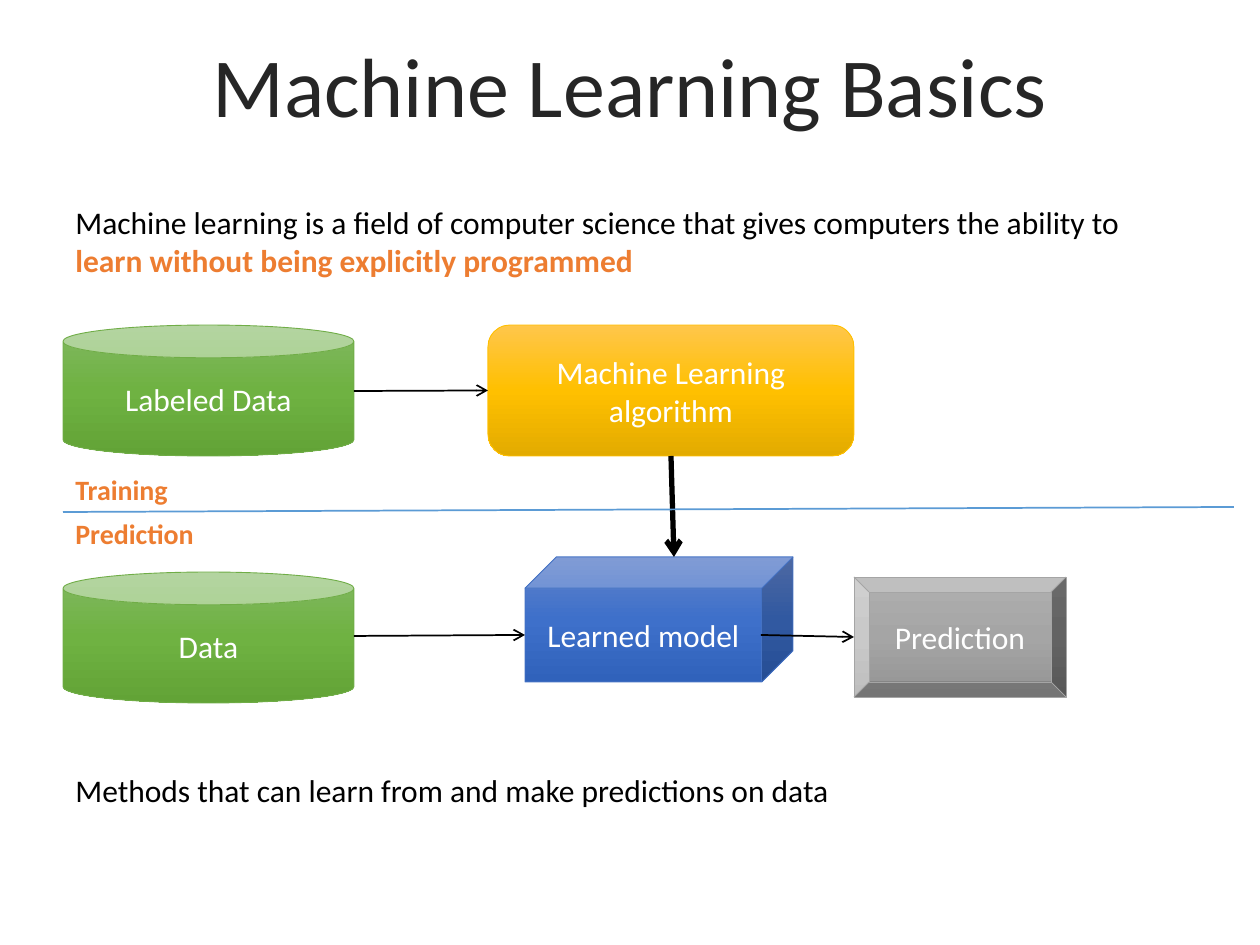
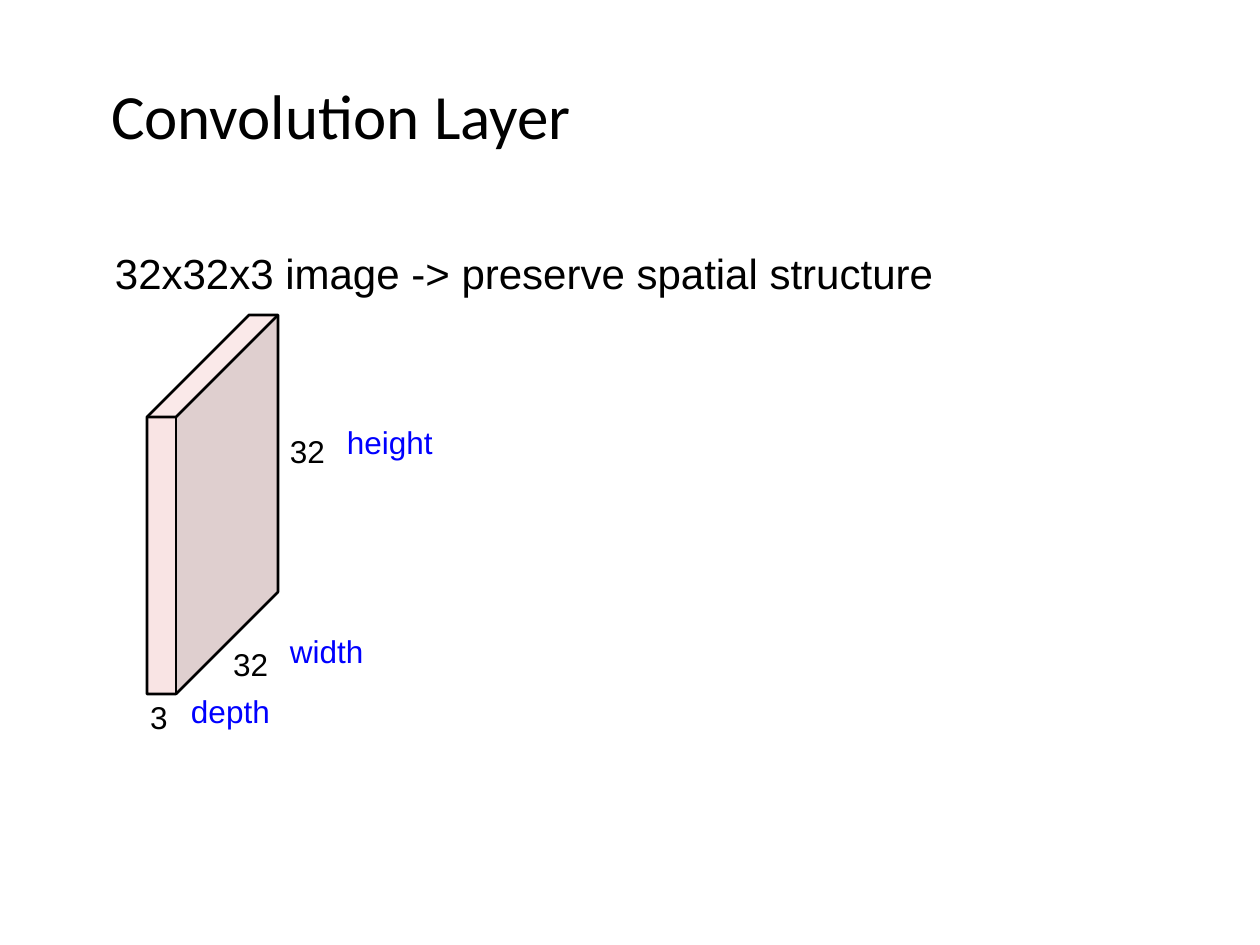
"""Build two slides: machine learning basics and the convolution layer."""
from copy import deepcopy

from lxml.etree import SubElement
from pptx import Presentation
from pptx.dml.color import RGBColor
from pptx.enum.shapes import MSO_CONNECTOR, MSO_SHAPE as SHAPE
from pptx.enum.text import MSO_ANCHOR as ANCHOR, PP_ALIGN as ALIGN
from pptx.oxml.ns import qn
from pptx.util import Pt

SCALE = 914400 / 126
SLIDE_W, SLIDE_H = 1260, 945
LEFT = 63

COLORS = {
    "black": "000000", "white": "FFFFFF", "title": "262626",
    "accent": "ED7D31", "divider": "5B9BD5", "label": "0000FF",
    "front": "F4CCCC", "side": "C3A3A3", "top": "F6D6D6",
}
GRADIENTS = {
    "green": ("81B861", "6FB242", "62A336", "70AD47"),
    "gold": ("FFC64B", "FFC000", "E3AB00", "FFC000"),
    "blue": ("6183CB", "3E70CA", "3062BB", "4472C4"),
    "gray": ("AFAFAF", "A5A5A5", "939393", "A5A5A5"),
}
FORMATS = {
    "heading": {"name": "Calibri", "size": Pt(48)},
    "title": {"name": "Calibri", "size": Pt(36)},
    "body": {"name": "Calibri", "size": Pt(18)},
    "strong": {"name": "Calibri", "size": Pt(18), "bold": True},
    "phase": {"name": "Calibri", "size": Pt(16), "bold": True},
    "subtitle": {"name": "Arial", "size": Pt(24)},
    "dimension": {"name": "Arial", "size": Pt(18)},
}

STATEMENTS = [
    ((LEFT, 197, 1089, 89), [
        ("Machine learning is a field of computer science that gives "
         "computers the ability to ", "body", "black"),
        ("learn without being explicitly programmed", "strong", "accent")]),
    ((LEFT, 765, 1171, 50), [
        ("Methods that can learn from and make predictions on data",
         "body", "black")]),
]
PHASES = [
    ((LEFT, 466, 131, 47), "Training"),
    ((LEFT, 510, 163, 47), "Prediction"),
]
STEPS = {
    "labeled": (SHAPE.CAN, (LEFT, 325, 291, 131), "green", "Labeled Data"),
    "data": (SHAPE.CAN, (LEFT, 572, 291, 131), "green", "Data"),
    "algorithm": (SHAPE.ROUNDED_RECTANGLE, (488, 325, 366, 131), "gold",
                  "Machine Learning algorithm"),
    "model": (SHAPE.CUBE, (525, 557, 268, 125), "blue", "Learned model"),
    "prediction": (SHAPE.BEVEL, (854, 577, 212, 120), "gray", "Prediction"),
}
DIVIDER = (LEFT, 512, 1234, 507)
DATA_FLOW = [(354, 636, 525, 635), (761, 635, 854, 637)]
LABELED_FLOW = (354, 391, 488, 391)
MODEL_FLOW = (671, 456, 674, 557)

VOLUME = {"x": 147, "y": 417, "depth": 29, "height": 277, "slant": 102}
CONV_TEXTS = [
    ((111, 77, 512, 79), "Convolution Layer", "title", "black"),
    ((115, 247, 822, 54), "32x32x3 image -> preserve spatial structure",
     "subtitle", "black"),
    ((290, 432, 39, 42), "32", "dimension", "black"),
    ((150, 698, 21, 42), "3", "dimension", "black"),
    ((290, 632, 77, 42), "width", "dimension", "label"),
    ((347, 423, 90, 42), "height", "dimension", "label"),
]
DEPTH_BOX = (191, 645, 82, 84)


def px(n):
    return round(n * SCALE)


def rgb(name):
    return RGBColor.from_string(COLORS[name])


def add_run(p, text, fmt, color):
    r = p.add_run()
    r.text = text
    for key, value in FORMATS[fmt].items():
        setattr(r.font, key, value)
    r.font.color.rgb = rgb(color)


def add_box(slide, box, runs, inset=True, wrap=True):
    tf = slide.shapes.add_textbox(*map(px, box)).text_frame
    tf.word_wrap = wrap
    if not inset:
        for side in ("left", "top", "right", "bottom"):
            setattr(tf, f"margin_{side}", 0)
    for run in runs:
        add_run(tf.paragraphs[0], *run)
    return tf


def add_step(slide, kind, box, palette, text):
    sp = slide.shapes.add_shape(kind, *map(px, box))
    sp.shadow.inherit = False
    *stops, edge = GRADIENTS[palette]
    sp.fill.gradient()
    sp.fill.gradient_angle = 270
    first = sp._element.spPr.find(".//" + qn("a:gs"))
    first.addnext(deepcopy(first))
    for i, (stop, color) in enumerate(zip(sp.fill.gradient_stops, stops)):
        stop.position = i / 2
        stop.color.rgb = RGBColor.from_string(color)
    sp.line.color.rgb = RGBColor.from_string(edge)
    sp.line.width = Pt(0.5)
    tf = sp.text_frame
    tf.word_wrap = True
    tf.vertical_anchor = ANCHOR.MIDDLE
    p = tf.paragraphs[0]
    p.alignment = ALIGN.CENTER
    add_run(p, text, "body", "white")
    return sp


def add_line(slide, ends, width=1, color="black", arrow=False):
    line = slide.shapes.add_connector(MSO_CONNECTOR.STRAIGHT, *map(px, ends))
    line.line.color.rgb = rgb(color)
    line.line.width = Pt(width)
    if arrow:
        SubElement(line.line._get_or_add_ln(), qn("a:tailEnd"), type="arrow")
    SubElement(line._element.spPr, qn("a:effectLst"))
    return line


def add_outline(slide, points, fill=None, close=True):
    builder = slide.shapes.build_freeform(*points[0], scale=SCALE)
    builder.add_line_segments(points[1:], close=close)
    sp = builder.convert_to_shape()
    sp.shadow.inherit = False
    if fill:
        sp.fill.solid()
        sp.fill.fore_color.rgb = rgb(fill)
        color = sp._element.spPr.find(".//" + qn("a:srgbClr"))
        SubElement(color, qn("a:alpha"), val="52000")
        sp.line.fill.background()
    else:
        sp.fill.background()
        sp.line.color.rgb = rgb("black")
        sp.line.width = Pt(1.5)


def build_basics(slide):
    for box, runs in STATEMENTS:
        add_box(slide, box, runs)
    steps = {name: add_step(slide, *step) for name, step in STEPS.items()}
    add_line(slide, LABELED_FLOW, arrow=True).end_connect(
        steps["algorithm"], 1)
    for ends in DATA_FLOW:
        add_line(slide, ends, arrow=True)
    add_line(slide, MODEL_FLOW, width=3, arrow=True).begin_connect(
        steps["algorithm"], 2)
    add_line(slide, DIVIDER, color="divider")
    for box, text in PHASES:
        add_box(slide, box, [(text, "phase", "accent")], wrap=False)
    tf = add_box(slide, (76, 25, 1108, 118),
                 [("Machine Learning Basics", "heading", "title")])
    tf.vertical_anchor = ANCHOR.MIDDLE
    tf.paragraphs[0].alignment = ALIGN.CENTER


def build_convolution(slide):
    x, y, depth, height, slant = VOLUME.values()
    near_left, near_right = (x, y), (x + depth, y)
    far_left, far_right = [(a + slant, b - slant)
                           for a, b in (near_left, near_right)]
    base_left, base_right, base_far = [
        (a, b + height) for a, b in (near_left, near_right, far_right)]
    faces = {
        "front": [near_left, near_right, base_right, base_left],
        "side": [base_right, near_right, far_right, base_far],
        "top": [near_right, near_left, far_left, far_right],
    }
    for fill, points in faces.items():
        add_outline(slide, points, fill)
    add_outline(slide, [near_left, far_left, far_right, base_far,
                        base_right, base_left])
    add_outline(slide, [near_left, near_right, far_right], close=False)
    add_line(slide, near_right + base_right, width=1.5)
    for box, *run in CONV_TEXTS:
        add_box(slide, box, [run], inset=False)
    tf = add_box(slide, DEPTH_BOX, [("32", "dimension", "black")],
                 inset=False)
    tf.paragraphs[0]._p.get_or_add_pPr().set("marL", str(px(42)))
    p = tf.add_paragraph()
    p.space_before = Pt(5)
    add_run(p, "depth", "dimension", "label")


def main():
    prs = Presentation()
    prs.slide_width, prs.slide_height = px(SLIDE_W), px(SLIDE_H)
    for build in (build_basics, build_convolution):
        build(prs.slides.add_slide(prs.slide_layouts[6]))
    prs.save("out.pptx")


if __name__ == "__main__":
    main()
